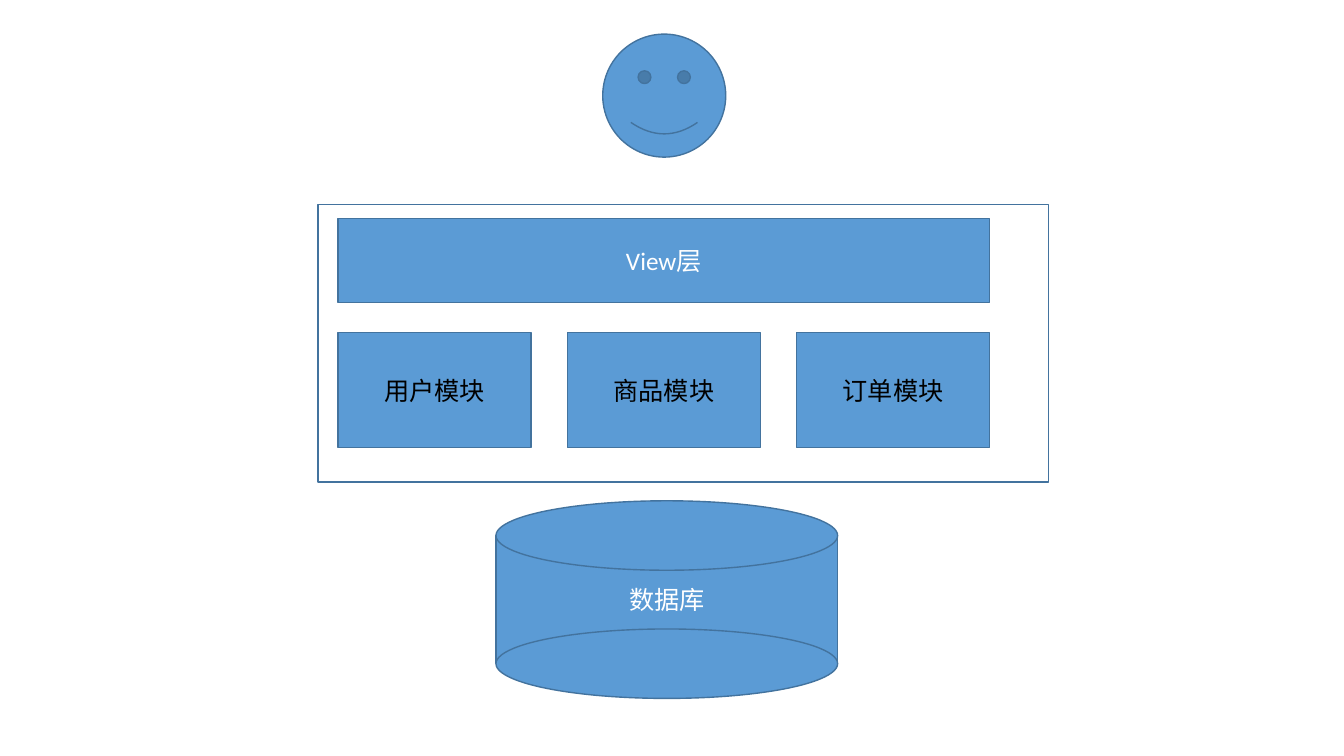
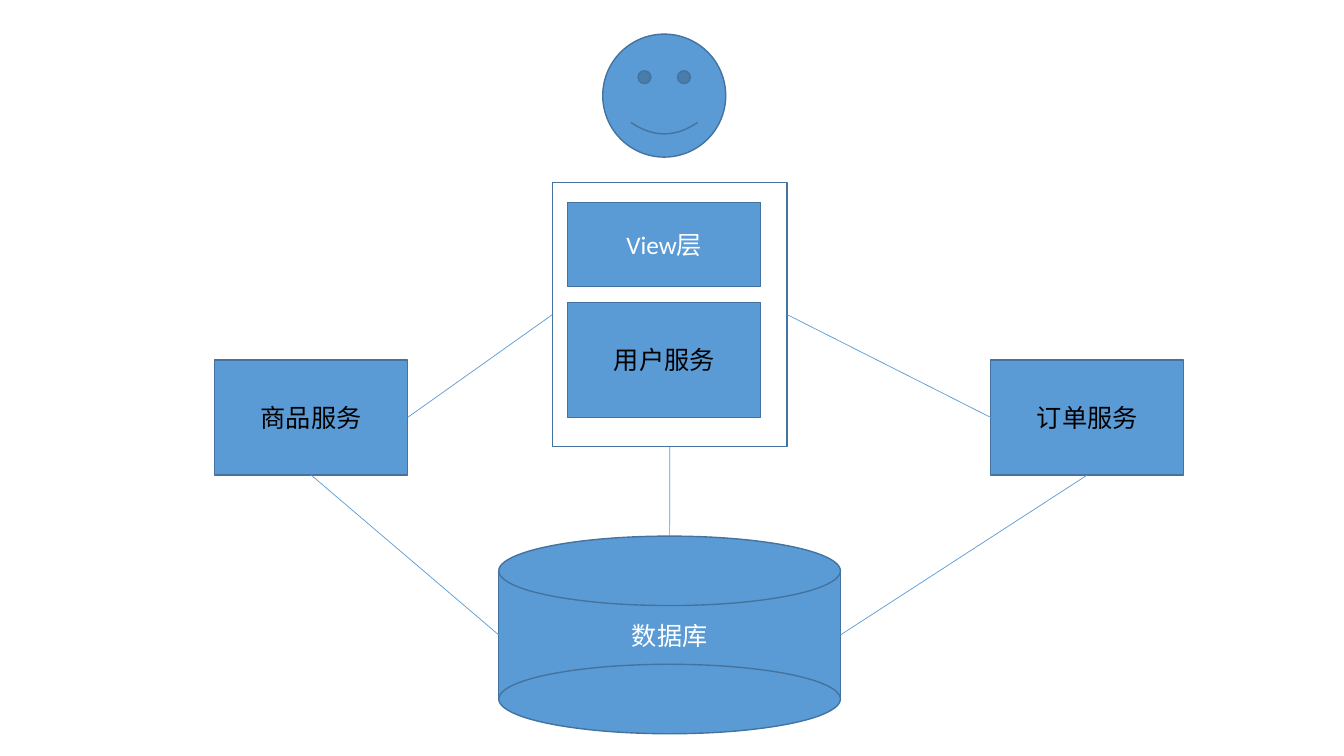
from dataclasses import dataclass
from typing import Optional

from lxml.etree import SubElement
from pptx import Presentation
from pptx.dml.color import RGBColor
from pptx.enum.shapes import MSO_CONNECTOR, MSO_SHAPE
from pptx.enum.text import MSO_ANCHOR, PP_ALIGN
from pptx.oxml.ns import qn
from pptx.shapes.autoshape import Shape
from pptx.slide import Slide
from pptx.util import Cm, Pt


@dataclass(frozen=True)
class Theme:
    """Colours, type and line widths shared by both slides."""

    fill: RGBColor = RGBColor(0x5B, 0x9B, 0xD5)
    outline: RGBColor = RGBColor(0x43, 0x73, 0x9E)
    light_text: RGBColor = RGBColor(0xFF, 0xFF, 0xFF)
    dark_text: RGBColor = RGBColor(0x00, 0x00, 0x00)
    font: str = "Calibri"
    text_size: Pt = Pt(18)
    outline_width: Pt = Pt(1)
    link_width: Pt = Pt(0.5)


@dataclass(frozen=True)
class Box:
    """A rectangle on the slide, in centimetres."""

    left: float
    top: float
    width: float
    height: float


@dataclass(frozen=True)
class Database:
    """The parts of a cylinder that links attach to."""

    body: Shape
    lid: Shape


THEME = Theme()
TOP, LEFT, BOTTOM, RIGHT = range(4)
MODULE_WIDTH, MODULE_HEIGHT = 4.86, 2.9
VIEW_HEIGHT = 2.11
CENTRE_LEFT = 14.31
USER = Box(15.19, 0.86, 3.1, 3.1)


def add_block(
    slide: Slide,
    box: Box,
    text: str = "",
    colour: RGBColor = THEME.light_text,
    kind: MSO_SHAPE = MSO_SHAPE.RECTANGLE,
    fill: Optional[RGBColor] = THEME.fill,
) -> Shape:
    """Add an outlined shape with an optional centred label."""
    shape = slide.shapes.add_shape(
        kind, Cm(box.left), Cm(box.top), Cm(box.width), Cm(box.height)
    )
    shape.shadow.inherit = False
    if fill is None:
        shape.fill.background()
    else:
        shape.fill.solid()
        shape.fill.fore_color.rgb = fill
    shape.line.color.rgb = THEME.outline
    shape.line.width = THEME.outline_width
    if text:
        shape.text_frame.vertical_anchor = MSO_ANCHOR.MIDDLE
        paragraph = shape.text_frame.paragraphs[0]
        paragraph.alignment = PP_ALIGN.CENTER
        run = paragraph.add_run()
        run.text = text
        run.font.name = THEME.font
        run.font.size = THEME.text_size
        run.font.color.rgb = colour
    return shape


def add_module(slide: Slide, left: float, top: float, text: str) -> Shape:
    """Add a module box with a dark label."""
    box = Box(left, top, MODULE_WIDTH, MODULE_HEIGHT)
    return add_block(slide, box, text, THEME.dark_text)


def add_view(slide: Slide, left: float, top: float, width: float) -> Shape:
    """Add the view layer bar."""
    return add_block(slide, Box(left, top, width, VIEW_HEIGHT), "View层")


def add_database(slide: Slide, left: float, top: float) -> Database:
    """Add a database cylinder made of a body and two ellipses."""
    width, cap_height, body_height = 8.61, 1.75, 3.23
    body_box = Box(left, top + cap_height / 2, width, body_height)
    body = add_block(slide, body_box, "数据库")
    base, lid = (
        add_block(slide, Box(left, cap_top, width, cap_height), kind=MSO_SHAPE.OVAL)
        for cap_top in (top + body_height, top)
    )
    return Database(body, lid)


def add_user(slide: Slide) -> None:
    """Add the user's smiling face at the top of the slide."""
    add_block(slide, USER, kind=MSO_SHAPE.SMILEY_FACE)


def add_link(slide: Slide, start: Shape, start_site: int, end: Shape, end_site: int) -> None:
    """Join two shapes at their connection sites."""
    link = slide.shapes.add_connector(MSO_CONNECTOR.STRAIGHT, 0, 0, 0, 0)
    link.begin_connect(start, start_site)
    link.end_connect(end, end_site)
    link.line.color.rgb = THEME.fill
    link.line.width = THEME.link_width
    SubElement(link._element.spPr, qn("a:effectLst"))


def build_single_application(slide: Slide) -> None:
    """Draw one application that holds every module."""
    left, width, gap = 8.52, 16.42, 0.92
    add_block(slide, Box(8.01, 5.16, 18.42, 6.99), fill=None)
    for index, text in enumerate(("用户模块", "商品模块", "订单模块")):
        add_module(slide, left + index * (MODULE_WIDTH + gap), 8.38, text)
    add_database(slide, 12.5, 12.62)
    add_view(slide, left, 5.51, width)
    add_user(slide)


def build_services(slide: Slide) -> None:
    """Draw separate services that share one database."""
    side_top = 9.07
    goods = add_module(slide, 5.41, side_top, "商品服务")
    add_module(slide, CENTRE_LEFT, 7.62, "用户服务")
    orders = add_module(slide, 24.97, side_top, "订单服务")
    database = add_database(slide, 12.57, 13.51)
    add_view(slide, CENTRE_LEFT, 5.11, MODULE_WIDTH)
    add_user(slide)
    frame = add_block(slide, Box(13.92, 4.6, 5.92, 6.66), fill=None)
    for start, start_site, end, end_site in (
        (frame, LEFT, goods, RIGHT),
        (frame, RIGHT, orders, LEFT),
        (goods, BOTTOM, database.body, LEFT),
        (frame, BOTTOM, database.lid, TOP),
        (orders, BOTTOM, database.body, RIGHT),
    ):
        add_link(slide, start, start_site, end, end_site)


def main() -> None:
    """Build and save the presentation."""
    presentation = Presentation()
    presentation.slide_width = Cm(33.87)
    presentation.slide_height = Cm(19.05)
    blank_layout = presentation.slide_layouts[6]
    for build in (build_single_application, build_services):
        build(presentation.slides.add_slide(blank_layout))
    presentation.save("out.pptx")


if __name__ == "__main__":
    main()
